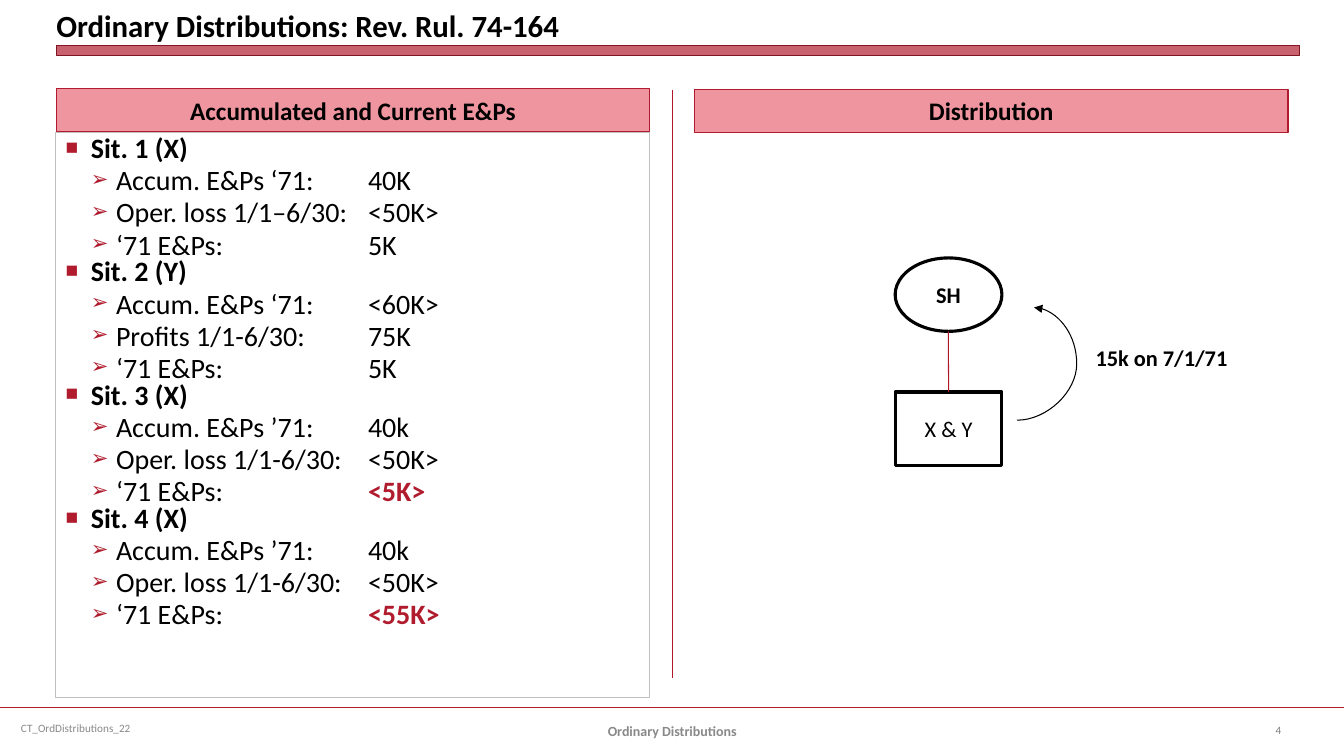
from dataclasses import dataclass

from lxml.etree import SubElement
from pptx import Presentation
from pptx.dml.color import RGBColor
from pptx.enum.shapes import MSO_CONNECTOR as Line, MSO_SHAPE as Preset
from pptx.enum.text import MSO_ANCHOR as Anchor, MSO_AUTO_SIZE as AutoSize, PP_ALIGN as Align
from pptx.oxml.ns import qn
from pptx.util import Cm, Pt


@dataclass(frozen=True)
class Theme:
    font: str = "Calibri"
    black: str = "000000"
    white: str = "FFFFFF"
    crimson: str = "B01C2E"
    rule: str = "B0182A"
    bar_edge: str = "821522"
    pink: str = "EE95A0"
    silver: str = "C0C0C0"
    footer: str = "898989"
    number: str = "808080"
    title_size: float = 22
    list_size: float = 20
    heading_size: float = 18
    diagram_size: float = 16
    footer_size: float = 10
    small_size: float = 8


THEME = Theme()

SITUATIONS = [
    ("Sit. 1 (X)", [("Accum. E&Ps ‘71:", "40K"), ("Oper. loss 1/1–6/30:", "<50K>"), ("‘71 E&Ps:", "5K")]),
    ("Sit. 2 (Y)", [("Accum. E&Ps ‘71:", "<60K>"), ("Profits 1/1-6/30:", "75K"), ("‘71 E&Ps:", "5K")]),
    ("Sit. 3 (X)", [("Accum. E&Ps ’71:", "40k"), ("Oper. loss 1/1-6/30:", "<50K>"), ("‘71 E&Ps:", "<5K>")]),
    ("Sit. 4 (X)", [("Accum. E&Ps ’71:", "40k"), ("Oper. loss 1/1-6/30:", "<50K>"), ("‘71 E&Ps:", "<55K>")]),
]
HIGHLIGHTED = {"<5K>", "<55K>"}


def write(paragraph, text, size, color=THEME.black, bold=False, align=None):
    run = paragraph.add_run()
    run.text = text
    run.font.name = THEME.font
    run.font.size = Pt(size)
    run.font.bold = bold
    run.font.color.rgb = RGBColor.from_string(color)
    if align is not None:
        paragraph.alignment = align


def place(shape, left, top, width, height):
    shape.left, shape.top, shape.width, shape.height = Cm(left), Cm(top), Cm(width), Cm(height)


def prepare_frame(shape, anchor, wrap=True):
    frame = shape.text_frame
    frame.auto_size = AutoSize.NONE
    frame.word_wrap = wrap
    frame.vertical_anchor = anchor
    return frame


def paint(shape, fill, edge, weight):
    if fill:
        shape.fill.solid()
        shape.fill.fore_color.rgb = RGBColor.from_string(fill)
    else:
        shape.fill.background()
    shape.line.color.rgb = RGBColor.from_string(edge)
    shape.line.width = Pt(weight)


def add_title(slide, text):
    title = slide.shapes.title
    place(title, 1.42, 0, 31.32, 1.09)
    frame = prepare_frame(title, Anchor.BOTTOM)
    frame.margin_left = frame.margin_right = frame.margin_top = frame.margin_bottom = 0
    write(frame.paragraphs[0], text, size=THEME.title_size, bold=True, align=Align.LEFT)


def add_title_bar(slide):
    bar = slide.shapes.add_shape(Preset.RECTANGLE, Cm(1.42), Cm(1.14), Cm(31.32), Cm(0.25))
    bar.shadow.inherit = False
    paint(bar, THEME.crimson, THEME.bar_edge, 0)
    tint = bar.fill._xPr.find(qn("a:solidFill"))[0]
    SubElement(tint, qn("a:alpha"), val="69000")


def fill_heading(heading, text, left, top):
    place(heading, left, top, 14.96, 1.07)
    paint(heading, THEME.pink, THEME.crimson, 0.75)
    paragraph = prepare_frame(heading, Anchor.MIDDLE).paragraphs[0]
    paragraph.space_before = Pt(0)
    write(paragraph, text, size=THEME.heading_size, bold=True, align=Align.CENTER)


def set_bullet(paragraph, mark, level):
    paragraph.level = level
    properties = paragraph._p.get_or_add_pPr()
    properties.set("marL", str(Cm(0.635 * (level + 1))))
    properties.set("indent", str(-Cm(0.635)))
    color = SubElement(properties, qn("a:buClr"))
    SubElement(color, qn("a:srgbClr"), val=THEME.crimson)
    SubElement(properties, qn("a:buSzPct"), val="75000")
    SubElement(properties, qn("a:buFont"), typeface="Arial")
    SubElement(properties, qn("a:buChar"), char=mark)
    if level:
        tabs = SubElement(properties, qn("a:tabLst"))
        SubElement(tabs, qn("a:tab"), pos=str(Cm(7.62)), algn="l")
    paragraph.line_spacing = 0.8


def fill_situations(panel):
    place(panel, 1.4, 3.33, 14.96, 14.25)
    paint(panel, THEME.white, THEME.silver, 0.75)
    frame = prepare_frame(panel, Anchor.TOP)
    size = THEME.list_size
    for position, (situation, amounts) in enumerate(SITUATIONS):
        heading = frame.add_paragraph() if position else frame.paragraphs[0]
        set_bullet(heading, "■", level=0)
        heading.space_before = Pt(0)
        write(heading, situation, size=size, bold=True)
        for label, amount in amounts:
            entry = frame.add_paragraph()
            set_bullet(entry, "➢", level=1)
            entry.space_before = Pt(3.7)
            write(entry, f"{label}\t", size=size)
            marked = amount in HIGHLIGHTED
            write(entry, amount, size=size, bold=marked, color=THEME.crimson if marked else THEME.black)


def add_label(slide, text, left, top, width, height, **style):
    label = slide.shapes.add_textbox(Cm(left), Cm(top), Cm(width), Cm(height))
    write(prepare_frame(label, Anchor.MIDDLE).paragraphs[0], text, **style)


def add_party(slide, preset, text, top, bold):
    party = slide.shapes.add_shape(preset, Cm(22.56), Cm(top), Cm(2.69), Cm(1.85))
    party.shadow.inherit = False
    paint(party, None, THEME.black, 2.25)
    paragraph = prepare_frame(party, Anchor.MIDDLE).paragraphs[0]
    write(paragraph, text, size=THEME.diagram_size, bold=bold, align=Align.CENTER)
    return party


def add_line(slide, start, end, color, weight=0.75, kind=Line.STRAIGHT):
    line = slide.shapes.add_connector(kind, *map(Cm, start), *map(Cm, end))
    line.line.color.rgb = RGBColor.from_string(color)
    line.line.width = Pt(weight)
    SubElement(line._element.spPr, qn("a:effectLst"))
    return line


def add_distribution_arrow(slide):
    arrow = add_line(slide, (25.63, 10.59), (26.06, 7.75), THEME.black, kind=Line.CURVE)
    SubElement(arrow.line._get_or_add_ln(), qn("a:tailEnd"), type="triangle")
    guides = arrow._element.spPr.find(qn("a:prstGeom")).get_or_add_avLst()
    SubElement(guides, qn("a:gd"), name="adj1", fmla="val 350000")


def add_diagram(slide):
    add_party(slide, Preset.OVAL, "SH", 6.5, bold=True)
    corporations = add_party(slide, Preset.RECTANGLE, "X & Y", 9.88, bold=False)
    ownership = add_line(slide, (23.9, 8.35), (23.9, 9.88), THEME.rule)
    ownership.end_connect(corporations, 0)
    add_distribution_arrow(slide)
    add_label(slide, "15k on 7/1/71", 27.36, 8.53, 4.52, 0.94, size=THEME.diagram_size, bold=True)


def add_footer(slide):
    add_line(slide, (0, 17.83), (33.87, 17.83), THEME.crimson, weight=1.25)
    add_label(slide, "CT_OrdDistributions_22", 0.28, 17.83, 8.74, 1.02, size=THEME.small_size, color=THEME.footer)
    add_label(slide, "Ordinary Distributions", 11.58, 17.91, 10.72, 1.02,
              size=THEME.footer_size, color=THEME.footer, bold=True, align=Align.CENTER)
    add_label(slide, "4", 31.9, 17.88, 1.7, 1.02, size=THEME.small_size, color=THEME.number)


def main():
    deck = Presentation()
    deck.slide_width, deck.slide_height = Cm(33.87), Cm(19.05)
    slide = deck.slides.add_slide(deck.slide_layouts.get_by_name("Comparison"))
    _, earnings_heading, situations, distribution_heading, spare = slide.placeholders
    spare._element.getparent().remove(spare._element)
    add_title(slide, "Ordinary Distributions: Rev. Rul. 74-164")
    add_title_bar(slide)
    fill_heading(earnings_heading, "Accumulated and Current E&Ps", 1.42, 2.24)
    fill_heading(distribution_heading, "Distribution", 17.5, 2.26)
    fill_situations(situations)
    add_line(slide, (16.94, 2.26), (16.94, 17.09), THEME.rule)
    add_diagram(slide)
    add_footer(slide)
    deck.save("out.pptx")


if __name__ == "__main__":
    main()
